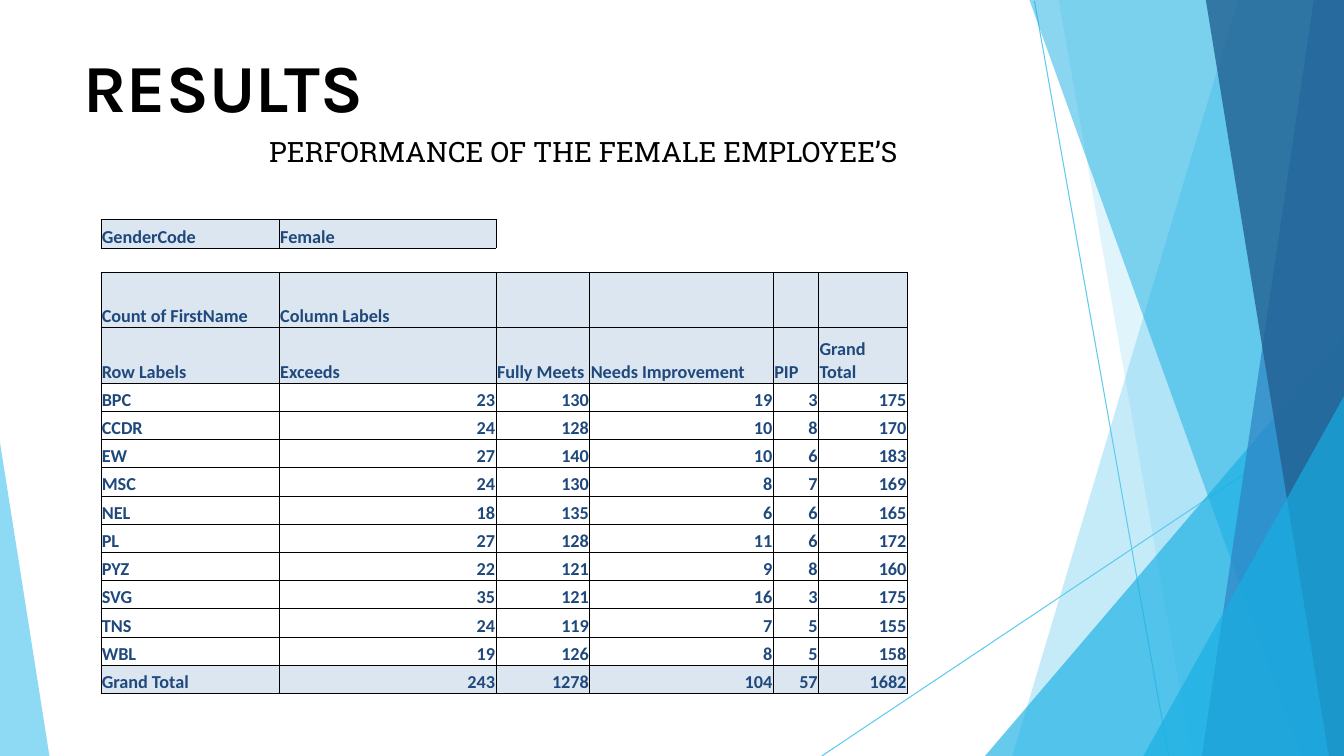
from lxml import etree
from pptx import Presentation
from pptx.dml.color import RGBColor
from pptx.enum.shapes import MSO_CONNECTOR
from pptx.enum.text import MSO_ANCHOR, PP_ALIGN
from pptx.oxml.ns import qn
from pptx.util import Inches, Pt

STRAIGHT = MSO_CONNECTOR.STRAIGHT
TOP, BOTTOM = MSO_ANCHOR.TOP, MSO_ANCHOR.BOTTOM
LEFT, RIGHT = PP_ALIGN.LEFT, PP_ALIGN.RIGHT

BLACK = RGBColor(0x00, 0x00, 0x00)
SKY = RGBColor(0x5F, 0xCA, 0xEE)
CYAN = RGBColor(0x17, 0xAF, 0xE3)
BLUE = RGBColor(0x2D, 0x83, 0xC3)
DEEP_BLUE = RGBColor(0x22, 0x61, 0x92)
NAVY = RGBColor(0x1F, 0x49, 0x7D)
PALE_BLUE = RGBColor(0xDC, 0xE6, 0xF1)

W, H = 13.33, 7.5

prs = Presentation()
prs.slide_width, prs.slide_height = Inches(W), Inches(H)
slide = prs.slides.add_slide(prs.slide_layouts[6])

for ends in [(10.26, 0.01, 11.59, H), (W, 4.04, 8.15, H)]:
    ray = slide.shapes.add_connector(STRAIGHT, *[Inches(v) for v in ends])
    ray.line.color.rgb = SKY
    ray.line.width = Pt(0.75)
    etree.SubElement(ray._element.spPr, qn("a:effectLst"))

facets = [
    (SKY, 36, [(W, 0), (12.28, 0), (10.04, H), (W, H)]),
    (SKY, 20, [(W, 0), (10.5, 0), (11.82, H), (W, H)]),
    (CYAN, 66, [(W, 3.33), (9.77, H), (W, H)]),
    (CYAN, 50, [(W, 0), (10.21, 0), (12.91, H), (W, H)]),
    (BLUE, 70, [(W, 0), (13.03, 0), (11.92, H), (W, H)]),
    (DEEP_BLUE, 80, [(W, 0), (11.96, 0), (13.18, H), (W, H)]),
    (CYAN, 66, [(W, 3.93), (11.34, H), (W, H)]),
    (SKY, 70, [(0, 4.39), (0, H), (0.49, H)]),
]
for color, opacity, corners in facets:
    points = [(Inches(x), Inches(y)) for x, y in corners]
    outline = slide.shapes.build_freeform(*points[0])
    outline.add_line_segments(points[1:], close=True)
    facet = outline.convert_to_shape()
    facet.shadow.inherit = False
    facet.line.fill.background()
    facet.fill.solid()
    facet.fill.fore_color.rgb = color
    tint = facet._element.spPr.find(qn("a:solidFill"))[0]
    etree.SubElement(tint, qn("a:alpha"), val=str(opacity * 1000))

headings = [
    ("RESULTS", (0.83, 0.42, 11.68, 0.83), "Karla", 48, True, BOTTOM),
    ("PERFORMANCE OF THE FEMALE EMPLOYEE’S", (2.67, 1.33, 6.25, 0.67),
     "Roboto Slab", 20, False, TOP),
]
for wording, box, font_name, size, bold, anchor in headings:
    heading = slide.shapes.add_textbox(*[Inches(v) for v in box])
    frame = heading.text_frame
    frame.word_wrap = True
    frame.vertical_anchor = anchor
    frame.margin_left = frame.margin_right = 0
    frame.margin_top = frame.margin_bottom = 0
    frame.text = wording
    font = frame.paragraphs[0].runs[0].font
    font.name, font.size, font.bold = font_name, Pt(size), bold
    font.color.rgb = BLACK

rows = [
    ("GenderCode", "Female", "", "", "", ""),
    ("", "", "", "", "", ""),
    ("Count of FirstName", "Column Labels", "", "", "", ""),
    ("Row Labels", "Exceeds", "Fully Meets", "Needs Improvement", "PIP", "Grand Total"),
    ("BPC", 23, 130, 19, 3, 175),
    ("CCDR", 24, 128, 10, 8, 170),
    ("EW", 27, 140, 10, 6, 183),
    ("MSC", 24, 130, 8, 7, 169),
    ("NEL", 18, 135, 6, 6, 165),
    ("PL", 27, 128, 11, 6, 172),
    ("PYZ", 22, 121, 9, 8, 160),
    ("SVG", 35, 121, 16, 3, 175),
    ("TNS", 24, 119, 7, 5, 155),
    ("WBL", 19, 126, 8, 5, 158),
    ("Grand Total", 243, 1278, 104, 57, 1682),
]
column_widths = [1.77, 2.15, 0.93, 1.82, 0.45, 0.88]
row_heights = [0.28, 0.24, 0.55, 0.55] + [0.28] * 11
last_row = len(rows) - 1
framed = {(r, c) for r in range(len(rows)) for c in range(6)
          if r >= 2 or (r == 0 and c < 2)}

results = slide.shapes.add_table(
    len(rows), 6, Inches(1), Inches(2.18), Inches(8), Inches(4.65)).table
results.first_row = results.horz_banding = False
for column, width in zip(results.columns, column_widths):
    column.width = Inches(width)
for row, height in zip(results.rows, row_heights):
    row.height = Inches(height)

for r, values in enumerate(rows):
    for c, value in enumerate(values):
        cell = results.cell(r, c)
        cell.margin_left = cell.margin_right = cell.margin_top = Inches(0.01)
        cell.margin_bottom = 0
        cell.vertical_anchor = BOTTOM
        neighbours = {"lnL": (r, c - 1), "lnR": (r, c + 1),
                      "lnT": (r - 1, c), "lnB": (r + 1, c)}
        for side, neighbour in neighbours.items():
            edge = etree.SubElement(cell._tc.get_or_add_tcPr(), qn("a:" + side),
                                    w=str(Pt(0.5)))
            if framed & {(r, c), neighbour}:
                ink = etree.SubElement(edge, qn("a:solidFill"))
                etree.SubElement(ink, qn("a:srgbClr"), val=str(BLACK))
            else:
                etree.SubElement(edge, qn("a:noFill"))
        if (r, c) in framed and (r < 4 or r == last_row):
            cell.fill.solid()
            cell.fill.fore_color.rgb = PALE_BLUE
        else:
            cell.fill.background()
        paragraph = cell.text_frame.paragraphs[0]
        if value == "":
            etree.SubElement(paragraph._p, qn("a:endParaRPr"), sz="1300")
            continue
        paragraph.text = str(value)
        paragraph.alignment = RIGHT if isinstance(value, int) else LEFT
        font = paragraph.runs[0].font
        font.name, font.size, font.bold = "Calibri", Pt(13), True
        font.color.rgb = NAVY

prs.save("out.pptx")
